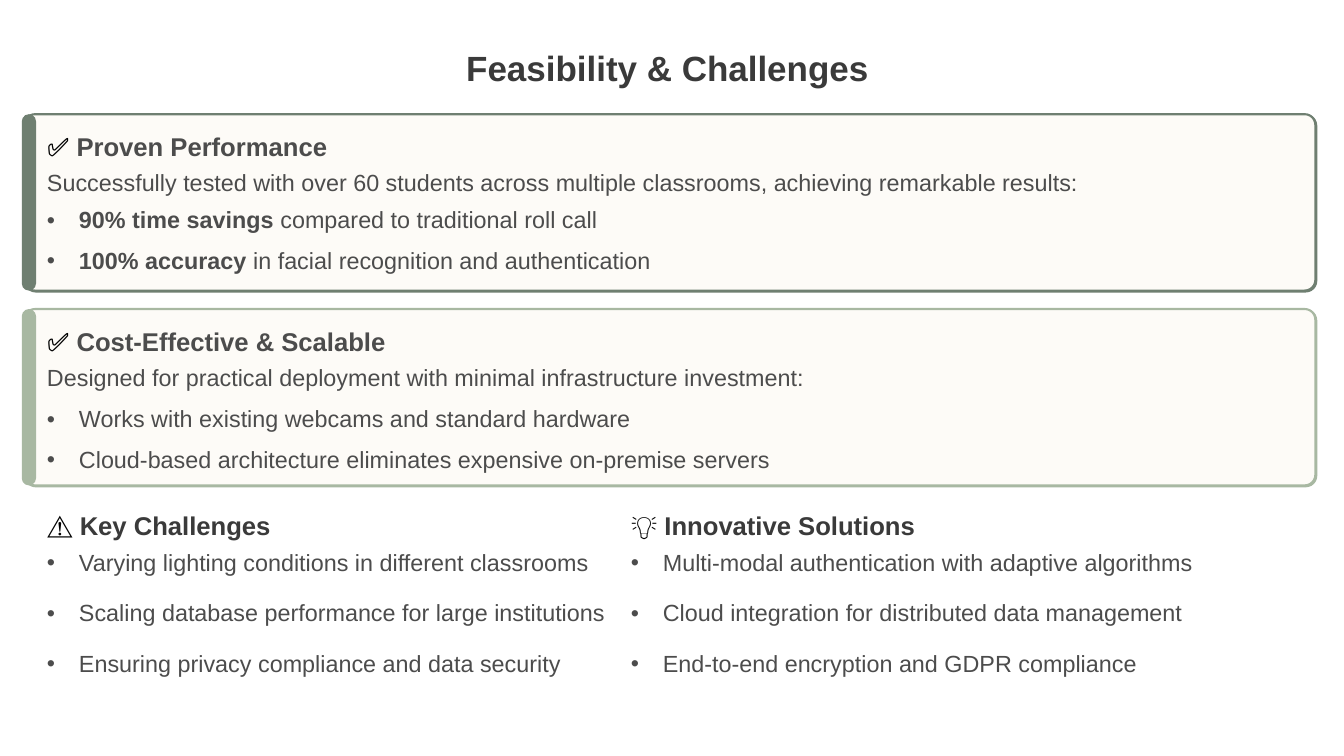
from lxml.etree import SubElement
from pptx import Presentation
from pptx.dml.color import RGBColor
from pptx.enum.shapes import MSO_SHAPE as Preset
from pptx.enum.text import MSO_ANCHOR as Anchor, MSO_AUTO_SIZE as AutoSize, PP_ALIGN as Align
from pptx.oxml.ns import qn
from pptx.util import Pt

BLACK = RGBColor(0x00, 0x00, 0x00)
CHARCOAL = RGBColor(0x3A, 0x3A, 0x3A)
GREY = RGBColor(0x4C, 0x4C, 0x4C)
CREAM = RGBColor(0xFD, 0xFB, 0xF7)
FOREST = RGBColor(0x6F, 0x7F, 0x71)
SAGE = RGBColor(0xA8, 0xB8, 0xA2)

LEFT = 40.3
CARD_HEIGHT = 151.2
CARD_TEXT_WIDTH = 1049
LINE_HEIGHT = 19.5


class FeasibilitySlide:
    font = "Arial"
    body_size = 20
    heading_size = 22
    title_size = 30
    indent = 27.4

    def __init__(self, deck):
        self.slide = deck.slides.add_slide(deck.slide_layouts[5])

    def fill_text(self, frame, runs, size, spacing):
        frame.word_wrap = True
        frame.auto_size = AutoSize.NONE
        frame.vertical_anchor = Anchor.TOP
        frame.margin_left = frame.margin_right = Pt(0)
        frame.margin_top = frame.margin_bottom = Pt(0)
        paragraph = frame.paragraphs[0]
        paragraph.alignment = Align.LEFT
        paragraph.line_spacing = spacing
        for words, colour, bold in runs:
            run = paragraph.add_run()
            run.text = words
            run.font.name = self.font
            run.font.size = Pt(size)
            run.font.bold = bold
            run.font.color.rgb = colour
        return paragraph

    def title(self, words, left, top, width, height):
        title = self.slide.shapes.title
        title.left, title.top = Pt(left), Pt(top)
        title.width, title.height = Pt(width), Pt(height)
        self.fill_text(title.text_frame, [(words, CHARCOAL, True)], self.title_size, 1.25)

    def text(self, runs, left, top, width, height, size=body_size, spacing=0.95):
        box = self.slide.shapes.add_textbox(Pt(left), Pt(top), Pt(width), Pt(height))
        return self.fill_text(box.text_frame, runs, size, spacing)

    def heading(self, icon, words, colour, left, top, width, height=23):
        runs = [(icon, BLACK, True), (" " + words, colour, True)]
        self.text(runs, left, top, width, height, self.heading_size, 1.02)

    def bullet(self, strong, words, left, top, width, height=LINE_HEIGHT):
        runs = [(strong, GREY, True)] if strong else []
        paragraph = self.text(runs + [(words, GREY, False)], left, top, width, height)
        properties = paragraph._p.get_or_add_pPr()
        properties.set("marL", str(Pt(self.indent)))
        properties.set("indent", str(-Pt(self.indent)))
        colour = SubElement(properties, qn("a:buClr"))
        SubElement(colour, qn("a:srgbClr"), val=str(GREY))
        SubElement(properties, qn("a:buFont"), typeface=self.font)
        SubElement(properties, qn("a:buChar"), char="•")

    def rounded(self, left, top, width, height, corner, fill):
        shape = self.slide.shapes.add_shape(
            Preset.ROUNDED_RECTANGLE, Pt(left), Pt(top), Pt(width), Pt(height))
        shape.adjustments[0] = corner
        shape.shadow.inherit = False
        shape.fill.solid()
        shape.fill.fore_color.rgb = fill
        shape.line.fill.background()
        return shape

    def panel(self, top, accent):
        panel = self.rounded(20.9, top, 1106.6, CARD_HEIGHT, 0.06, CREAM)
        panel.line.color.rgb = accent
        panel.line.width = Pt(1.8)
        effects = panel._element.spPr.find(qn("a:effectLst"))
        shadow = SubElement(effects, qn("a:outerShdw"), blurRad="0",
                            dist=str(Pt(1.1)), dir="2700000", rotWithShape="0")
        SubElement(shadow, qn("a:srgbClr"), val=str(accent))
        self.rounded(18.7, top, 12.2, CARD_HEIGHT, 0.71, accent)

    def card(self, top, accent, name, name_width, summary, bullets_offset, bullets):
        self.panel(top, accent)
        self.heading("✅", name, GREY, LEFT, top + 14, name_width)
        self.text([(summary, GREY, False)], LEFT, top + 48.2, CARD_TEXT_WIDTH, LINE_HEIGHT)
        for row, (strong, words) in enumerate(bullets):
            self.bullet(strong, words, LEFT, top + bullets_offset + row * 34.6, CARD_TEXT_WIDTH)

    def column(self, left, width, icon, name, name_width, name_height, bullets):
        self.heading(icon, name, CHARCOAL, left, 436.3, name_width, name_height)
        heights = (2 * LINE_HEIGHT, 2 * LINE_HEIGHT, LINE_HEIGHT)
        for row, (words, height) in enumerate(zip(bullets, heights)):
            self.bullet("", words, left, 471.6 + row * 43.2, width, height)


def main():
    deck = Presentation()
    deck.slide_width, deck.slide_height = Pt(1152), Pt(648)
    page = FeasibilitySlide(deck)
    page.title("Feasibility & Challenges", 399.6, 31, 348.5, 38.2)
    page.card(
        97.9, FOREST, "Proven Performance", 401.8,
        "Successfully tested with over 60 students across multiple classrooms, "
        "achieving remarkable results:",
        79.9,
        [("90% time savings", " compared to traditional roll call"),
         ("100% accuracy", " in facial recognition and authentication")])
    page.card(
        264.9, SAGE, "Cost-Effective & Scalable", 424.1,
        "Designed for practical deployment with minimal infrastructure investment:",
        83.5,
        [("", "Works with existing webcams and standard hardware"),
         ("", "Cloud-based architecture eliminates expensive on-premise servers")])
    page.column(
        LEFT, 480.2, "⚠️", "Key Challenges", 320.4, LINE_HEIGHT,
        ["Varying lighting conditions in different classrooms",
         "Scaling database performance for large institutions",
         "Ensuring privacy compliance and data security"])
    page.column(
        540.7, 547.9, "💡", "Innovative Solutions", 365, 23,
        ["Multi-modal authentication with adaptive algorithms",
         "Cloud integration for distributed data management",
         "End-to-end encryption and GDPR compliance"])
    deck.save("out.pptx")


if __name__ == "__main__":
    main()
